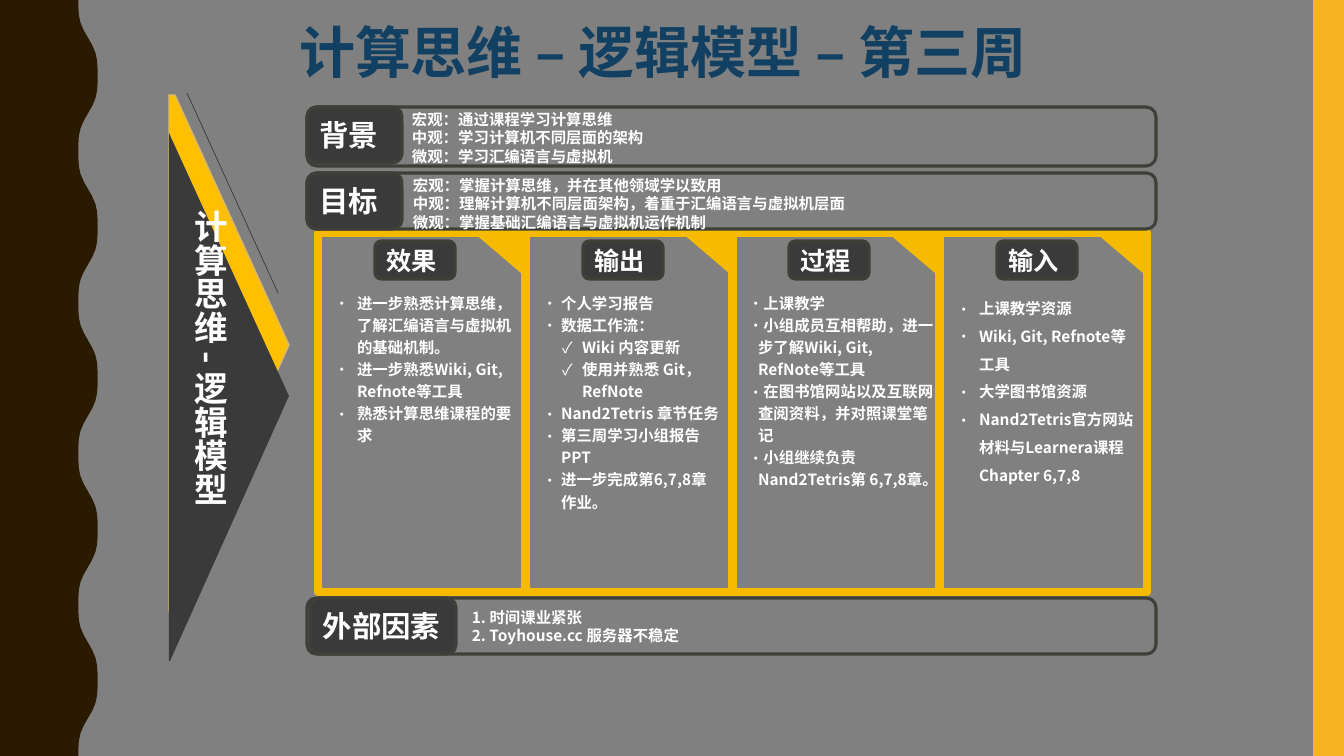
import math
from dataclasses import dataclass

from lxml import etree
from pptx import Presentation
from pptx import util as u
from pptx.dml.color import RGBColor
from pptx.enum import shapes, text
from pptx.oxml import ns

SLIDE_W, SLIDE_H = 1344, 756


@dataclass(frozen=True)
class Theme:
    font: str = "Noto Sans CJK SC"
    backdrop: str = "808080"
    wave: str = "2A1A00"
    edge: str = "F8B323"
    frame: str = "F6BB00"
    arrow: str = "FFC001"
    arrow_line: str = "DBB76C"
    dark: str = "3A3A3A"
    outline: str = "3F3F3A"
    title_color: str = "124062"
    light: str = "FFFFFF"
    title: int = 40
    side: int = 24
    tag: int = 21
    heading: int = 18
    body: int = 11


THEME = Theme()

# Column: left, body width, heading, leading, hanging indent, items (level, words)
COLUMNS = [
    (318, 209, "效果", 1.44, 23, [
        (0, "进一步熟悉计算思维，了解汇编语言与虚拟机的基础机制。"),
        (0, "进一步熟悉Wiki, Git, Refnote等工具"),
        (0, "熟悉计算思维课程的要求")]),
    (526, 199, "输出", 1.44, 19, [
        (0, "个人学习报告"),
        (0, "数据工作流："),
        (1, "Wiki 内容更新"),
        (1, "使用并熟悉 Git，RefNote"),
        (0, "Nand2Tetris 章节任务"),
        (0, "第三周学习小组报告PPT"),
        (0, "进一步完成第6,7,8章作业。")]),
    (732, 208, "过程", 1.44, 10, [
        (0, "上课教学"),
        (0, "小组成员互相帮助，进一步了解Wiki, Git, RefNote等工具"),
        (0, "在图书馆网站以及互联网查阅资料，并对照课堂笔记"),
        (0, "小组继续负责Nand2Tetris第 6,7,8章。")]),
    (940, 200, "输入", 1.8, 23, [
        (0, "上课教学资源"),
        (0, "Wiki, Git, Refnote等工具"),
        (0, "大学图书馆资源"),
        (0, "Nand2Tetris官方网站材料与Learnera课程Chapter 6,7,8")]),
]

# Bar: top, height, tag offset, tag width, tag, text left, text top, lines
BARS = [
    (107, 59, 0, 95, "背景", 402, 105, [
        "宏观：通过课程学习计算思维",
        "中观：学习计算机不同层面的架构",
        "微观：学习汇编语言与虚拟机"]),
    (173, 56, 0, 95, "目标", 403, 171, [
        "宏观：掌握计算思维，并在其他领域学以致用",
        "中观：理解计算机不同层面架构，着重于汇编语言与虚拟机层面",
        "微观：掌握基础汇编语言与虚拟机运作机制"]),
    (598, 56, 3, 146, "外部因素", 462, 603, [
        "1. 时间课业紧张",
        "2. Toyhouse.cc 服务器不稳定"]),
]


def px(length):
    return u.Emu(round(length * 12192000 / SLIDE_W))


def place(shape, box):
    shape.left, shape.top, shape.width, shape.height = map(px, box)
    return shape


def paint(shape, fill=None, line=None, weight=1):
    shape.shadow.inherit = False
    if fill:
        shape.fill.solid()
        shape.fill.fore_color.rgb = RGBColor.from_string(fill)
    else:
        shape.fill.background()
    if line:
        shape.line.color.rgb = RGBColor.from_string(line)
        shape.line.width = u.Pt(weight)
    else:
        shape.line.fill.background()
    return shape


def add_preset(slide, kind, box, **style):
    return paint(slide.shapes.add_shape(kind, *map(px, box)), **style)


def add_outline(slide, points, **style):
    corners = [(px(x), px(y)) for x, y in points]
    builder = slide.shapes.build_freeform(*corners[0])
    builder.add_line_segments(corners[1:], close=True)
    return paint(builder.convert_to_shape(), **style)


def add_bullet(paragraph, mark, margin, hanging):
    props = paragraph._p.get_or_add_pPr()
    props.set("marL", str(px(margin)))
    props.set("indent", str(-px(hanging)))
    etree.SubElement(props, ns.qn("a:buFont"), typeface=THEME.font)
    etree.SubElement(props, ns.qn("a:buChar"), char=mark)


def write(shape, items, size=THEME.body, color=THEME.light, leading=1.2,
          anchor=text.MSO_ANCHOR.TOP, hanging=None):
    """Fill a shape with (level, words) items; a hanging indent adds bullets."""
    frame = shape.text_frame
    frame.word_wrap = True
    frame.auto_size = text.MSO_AUTO_SIZE.NONE
    frame.vertical_anchor = anchor
    for index, (level, words) in enumerate(items):
        paragraph = frame.add_paragraph() if index else frame.paragraphs[0]
        paragraph.level = level
        if hanging:
            mark, margin, step = ("✓", 40, 20) if level else ("•", hanging, hanging)
            add_bullet(paragraph, mark, margin, step)
        paragraph.alignment = text.PP_ALIGN.LEFT
        paragraph.line_spacing = u.Pt(round(size * leading, 1))
        paragraph.space_before = u.Pt(0)
        run = paragraph.add_run()
        run.text = words
        font = run.font
        font.size, font.bold, font.name = u.Pt(size), True, THEME.font
        font.color.rgb = RGBColor.from_string(color)
        etree.SubElement(run._r.get_or_add_rPr(), ns.qn("a:ea"), typeface=THEME.font)
    return shape


def add_tag(slide, box, words, size):
    tag = add_preset(slide, shapes.MSO_SHAPE.ROUNDED_RECTANGLE, box,
                     fill=THEME.dark, line=THEME.outline, weight=2.25)
    write(tag, [(0, words)], size=size, anchor=text.MSO_ANCHOR.MIDDLE)


def draw_backdrop(slide):
    slide.background.fill.solid()
    slide.background.fill.fore_color.rgb = RGBColor.from_string(THEME.backdrop)
    # Wavy left edge, five periods high
    steps = 100
    wave = [(0, 0)]
    for step in range(steps + 1):
        angle = 10 * math.pi * step / steps
        x = 88 - 10.8 * math.cos(angle) + 1.2 * math.cos(3 * angle)
        wave.append((x, SLIDE_H * step / steps))
    add_outline(slide, wave + [(0, SLIDE_H)], fill=THEME.wave)
    add_preset(slide, shapes.MSO_SHAPE.RECTANGLE, (1313, 0, 31, SLIDE_H), fill=THEME.edge)


def draw_arrow(slide, left, top):
    def at(points):
        return [(left + x, top + y) for x, y in points]

    add_outline(slide, at([(0, 2), (6, 2), (120, 252), (0, 519)]),
                fill=THEME.arrow, line=THEME.arrow_line)
    add_outline(slide, at([(0, 40), (120, 303), (1, 568), (0, 568)]), fill=THEME.dark)
    (x1, y1), (x2, y2) = at([(109, 200), (18, 0)])
    accent = slide.shapes.add_connector(shapes.MSO_CONNECTOR.STRAIGHT,
                                        px(x1), px(y1), px(x2), px(y2))
    accent.line.color.rgb = RGBColor.from_string(THEME.dark)
    accent.line.width = u.Pt(0.5)
    etree.SubElement(accent.element.spPr, ns.qn("a:effectLst"))
    # Vertical caption
    caption = slide.shapes.add_textbox(*map(px, (left + 5, top + 107, 61, 403)))
    write(caption, [(0, "计算思维 - 逻辑模型")], size=THEME.side)
    caption.element.txBody.bodyPr.set("vert", "eaVert")


def draw_column(slide, body, top, column):
    left, width, heading, leading, hanging, items = column
    add_preset(slide, shapes.MSO_SHAPE.RECTANGLE, (left, top, 207, 359),
               line=THEME.frame, weight=6)
    corner = add_preset(slide, shapes.MSO_SHAPE.RIGHT_TRIANGLE,
                        (left + 157, top, 47, 40), fill=THEME.frame, line=THEME.frame)
    corner.rotation = 180
    add_tag(slide, (left + 57, top + 8, 80, 38), heading, THEME.heading)
    write(place(body, (left + 6, top + 52, width, 262)), items,
          leading=leading, hanging=hanging)


def draw_bar(slide, left, bar):
    top, height, tag_dx, tag_width, tag, text_left, text_top, lines = bar
    add_preset(slide, shapes.MSO_SHAPE.ROUNDED_RECTANGLE, (left, top, 849, height),
               line=THEME.outline, weight=2.25)
    add_tag(slide, (left + tag_dx, top, tag_width, 56), tag, THEME.tag)
    detail = slide.shapes.add_textbox(*map(px, (text_left, text_top, 736, 66)))
    write(detail, [(0, line) for line in lines])


def main():
    deck = Presentation()
    deck.slide_width, deck.slide_height = px(SLIDE_W), px(SLIDE_H)
    slide = deck.slides.add_slide(deck.slide_layouts.get_by_name("Comparison"))
    title, *bodies = slide.placeholders
    draw_backdrop(slide)
    draw_arrow(slide, 169, 93)
    for body, column in zip(bodies, COLUMNS):
        draw_column(slide, body, 233, column)
    for bar in BARS:
        draw_bar(slide, 307, bar)
    write(place(title, (289, 12, 787, 78)), [(0, "计算思维 – 逻辑模型 – 第三周")],
          size=THEME.title, color=THEME.title_color)
    deck.save("out.pptx")


if __name__ == "__main__":
    main()
